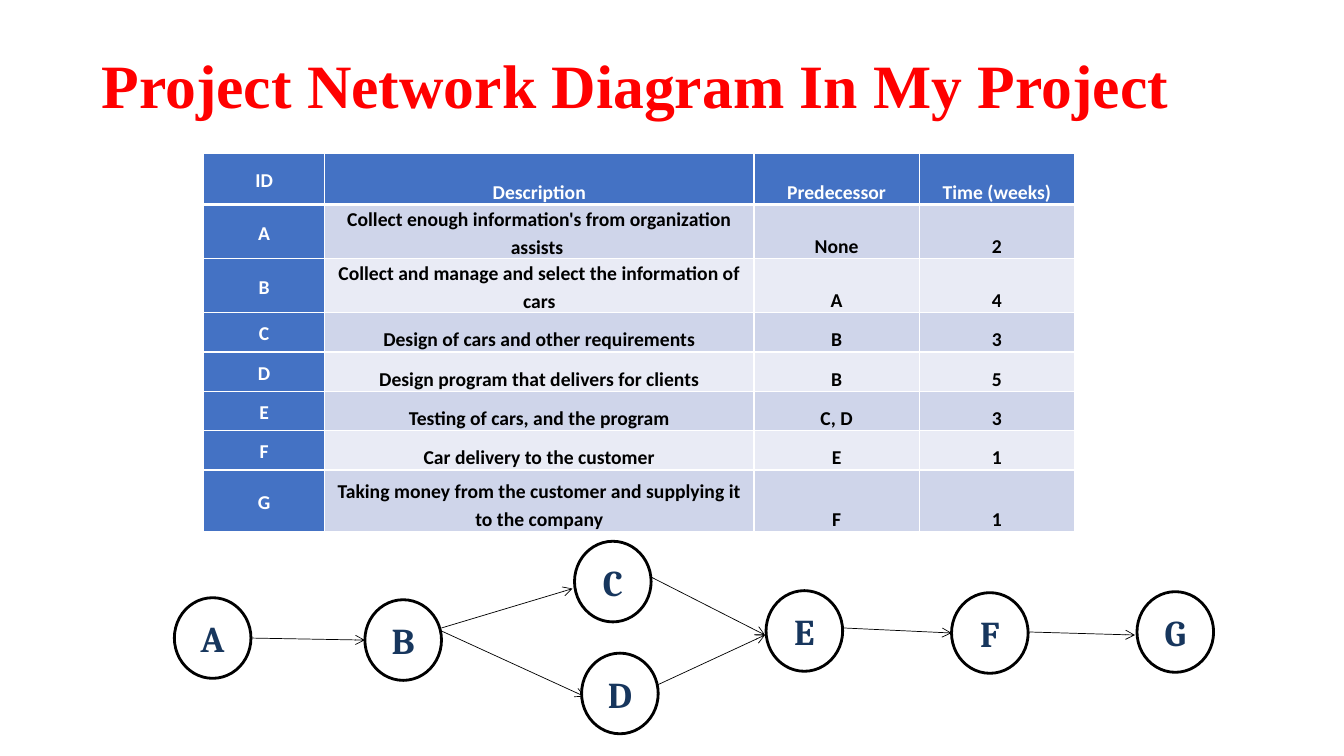
from lxml import etree
from pptx import Presentation, util as u
from pptx.dml.color import RGBColor
from pptx.enum import shapes, text
from pptx.oxml.ns import qn

WHITE = RGBColor(0xFF, 0xFF, 0xFF)
BLACK = RGBColor(0, 0, 0)
RED = RGBColor(0xFF, 0, 0)
NAVY = RGBColor(0x17, 0x36, 0x5D)
BLUE = RGBColor(0x44, 0x72, 0xC4)
BANDS = RGBColor(0xE9, 0xEB, 0xF5), RGBColor(0xCF, 0xD5, 0xEA)

COLUMNS, ROWS = 80, 45
NODE_WIDTH, NODE_HEIGHT = 4.56, 4.8

TASKS = [
    ("ID", "Description", "Predecessor", "Time (weeks)"),
    ("A", "Collect enough information's from organization assists ", "None", "2"),
    ("B", "Collect and manage and select the information of cars", "A", "4"),
    ("C", "Design of cars and other requirements", "B", "3"),
    ("D", "Design program that delivers for clients", "B", "5"),
    ("E", "Testing of cars, and the program", "C, D", "3"),
    ("F", "Car delivery to the customer", "E", "1"),
    ("G", "Taking money from the customer and supplying it to the company", "F", "1"),
]
TASK_WIDTHS = [7.2, 25.56, 9.84, 9.24]
TASK_HEIGHTS = [3.06] + [2.34] * 6 + [3.66]

ACTIVITIES = {
    "A": (10.38, 35.58),
    "B": (21.72, 35.7),
    "C": (34.2, 32.22),
    "D": (34.62, 38.88),
    "E": (45.6, 35.16),
    "F": (56.64, 35.28),
    "G": (67.68, 35.22),
}
DEPENDENCIES = [
    (14.94, 37.98, 21.72, 38.1),
    (26.28, 37.38, 34.08, 35.04),
    (26.28, 37.56, 34.8, 41.46),
    (38.7, 34.32, 45.54, 37.8),
    (38.94, 40.86, 45.54, 37.8),
    (50.22, 37.38, 56.64, 37.68),
    (61.26, 37.62, 67.56, 37.8),
]


def write(frame, words, font, size, color, spacing=1.0):
    frame.word_wrap = True
    paragraph = frame.paragraphs[0]
    paragraph.alignment = text.PP_ALIGN.CENTER
    paragraph.line_spacing = spacing
    run = paragraph.add_run()
    run.text = words
    run.font.name = font
    run.font.size = u.Pt(size)
    run.font.bold = True
    run.font.color.rgb = color


class NetworkSlide:
    def __init__(self, deck):
        self.slide = deck.slides.add_slide(deck.slide_layouts[6])
        self.column = deck.slide_width / COLUMNS
        self.row = deck.slide_height / ROWS

    def place(self, *lengths):
        units = (self.column, self.row) * 2
        return [round(length * unit) for length, unit in zip(lengths, units)]

    def title(self, words, *area):
        heading = self.slide.shapes.add_textbox(*self.place(*area)).text_frame
        heading.vertical_anchor = text.MSO_ANCHOR.MIDDLE
        write(heading, words, "Times New Roman", 44, RED, spacing=0.9)

    def border(self, cell, side, points):
        line = etree.SubElement(cell._tc.get_or_add_tcPr(), qn(f"a:ln{side}"),
                                w=str(u.Pt(points)))
        fill = etree.SubElement(line, qn("a:solidFill"))
        etree.SubElement(fill, qn("a:srgbClr"), val=str(WHITE))

    def task_cell(self, cell, words, row, column):
        header, label = row == 0, column == 0
        for side in "LRTB":
            heavy = (side, row) in (("B", 0), ("T", 1))
            self.border(cell, side, 3 if heavy else 1)
        cell.fill.solid()
        cell.fill.fore_color.rgb = BLUE if header or label else BANDS[row % 2]
        cell.margin_left = cell.margin_right = u.Inches(0.07)
        cell.margin_top = cell.margin_bottom = 0
        cell.vertical_anchor = text.MSO_ANCHOR.MIDDLE if label else text.MSO_ANCHOR.BOTTOM
        write(cell.text_frame, words, "Calibri", 14,
              WHITE if header or label else BLACK, spacing=1.15)

    def task_table(self, left, top):
        area = self.place(left, top, sum(TASK_WIDTHS), sum(TASK_HEIGHTS))
        table = self.slide.shapes.add_table(len(TASKS), len(TASK_WIDTHS), *area).table
        for column, width in zip(table.columns, TASK_WIDTHS):
            column.width = round(width * self.column)
        for row, height in zip(table.rows, TASK_HEIGHTS):
            row.height = round(height * self.row)
        for r, task in enumerate(TASKS):
            for c, words in enumerate(task):
                self.task_cell(table.cell(r, c), words, r, c)

    def dependency(self, *ends):
        arrow = self.slide.shapes.add_connector(
            shapes.MSO_CONNECTOR.STRAIGHT, *self.place(*ends))
        arrow.line.color.rgb = BLACK
        arrow.line.width = u.Pt(0.5)
        etree.SubElement(arrow.line._get_or_add_ln(), qn("a:tailEnd"), type="arrow")
        etree.SubElement(arrow._element.spPr, qn("a:effectLst"))

    def activity(self, name, left, top):
        node = self.slide.shapes.add_shape(
            shapes.MSO_SHAPE.OVAL, *self.place(left, top, NODE_WIDTH, NODE_HEIGHT))
        node.shadow.inherit = False
        node.fill.solid()
        node.fill.fore_color.rgb = WHITE
        node.line.color.rgb = BLACK
        node.line.width = u.Pt(2)
        node.text_frame.vertical_anchor = text.MSO_ANCHOR.MIDDLE
        write(node.text_frame, name, "Cambria", 26, NAVY)


def main():
    deck = Presentation()
    deck.slide_width, deck.slide_height = u.Inches(13.33), u.Inches(7.5)
    network = NetworkSlide(deck)
    network.title("Project Network Diagram In My Project ", 3.78, 1.02, 69, 8.52)
    network.task_table(12.12, 9.12)
    for ends in DEPENDENCIES:
        network.dependency(*ends)
    for name, corner in ACTIVITIES.items():
        network.activity(name, *corner)
    deck.save("out.pptx")


if __name__ == "__main__":
    main()
